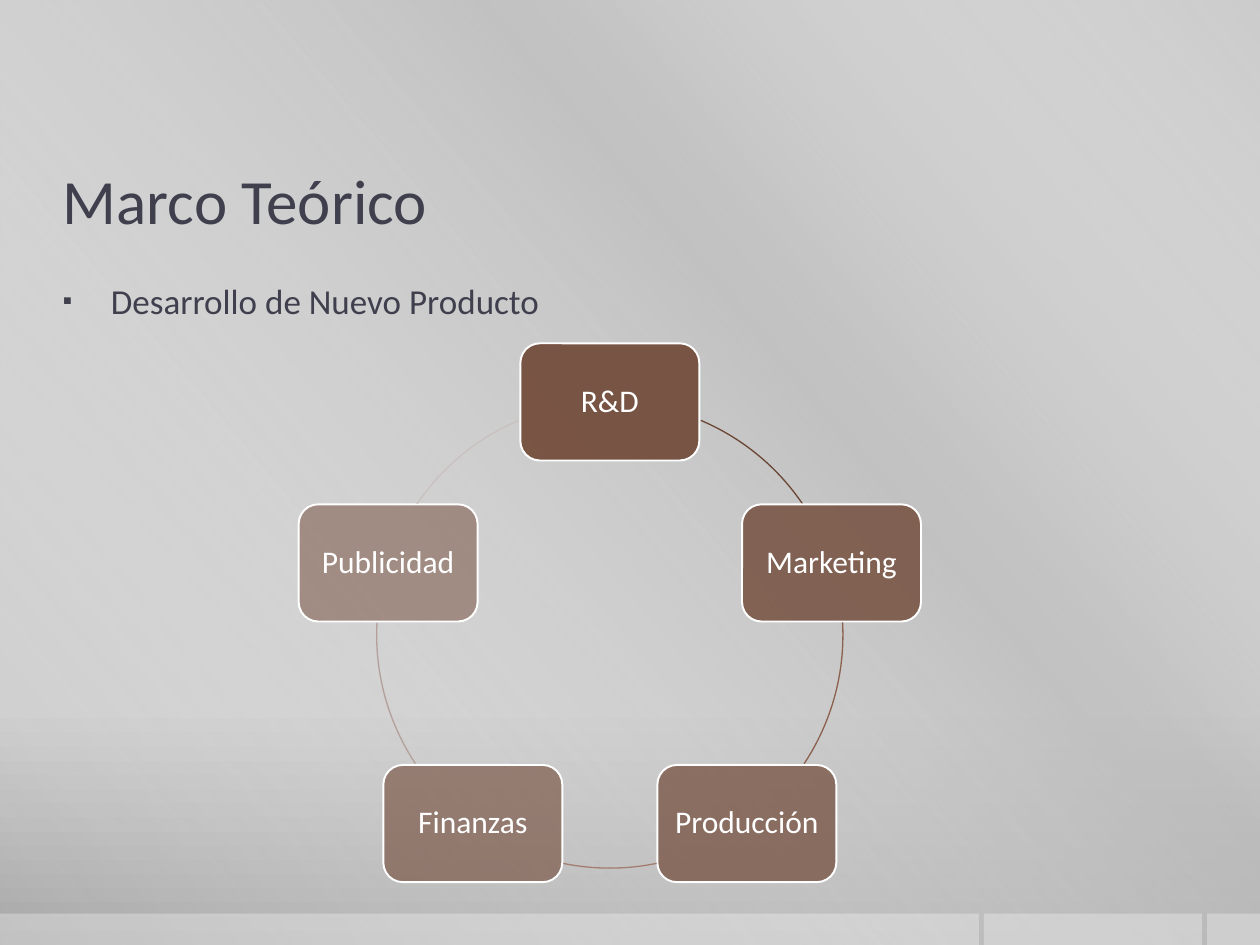
from math import cos, radians, sin

from pptx import Presentation
from pptx.dml.color import RGBColor
from pptx.enum.shapes import MSO_SHAPE
from pptx.enum.text import MSO_ANCHOR, PP_ALIGN
from pptx.oxml.ns import qn
from pptx.util import Inches, Pt
from lxml.etree import SubElement

TITLE = "Marco Teórico"
BULLET = "Desarrollo de Nuevo Producto"
STAGES = [
    ("R&D", 90, "6B4534", (293, 325.8)),
    ("Marketing", 80, "8B604E", (356.9, 33.5)),
    ("Producción", 70, "A37E70", (78.4, 101.6)),
    ("Finanzas", 60, "B4A09A", (146.5, 183.1)),
    ("Publicidad", 50, "C9C1BF", (214.2, 247)),
]
THEME = {
    "font": "Calibri", "ink": "3F3F4D", "light": "FFFFFF", "box": "704836",
    "title": 36, "body": 20, "label": 18,
    "backdrop": [(0, "CBCBCB", 100), (76, "C8C8C8", 100), (100, "A7A7A7", 100)],
    "sheen": [(0, "FFFFFF", 0), (34, "BFBFBF", 61), (38, "BFBFBF", 76), (100, "FFFFFF", 0)],
}
WIDTH, HEIGHT = 10, 7.5
FLOOR_TOP, FLOOR_ALPHA = 7.25, 30
FLOOR_SPANS = [(0, 7.77), (7.81, 9.54), (9.58, WIDTH)]
CENTER_X, CENTER_Y, RADIUS = 4.84, 5.04, 1.85
BOX_WIDTH, BOX_HEIGHT, BOX_INSET = 1.42, 0.93, 0.05


def set_alpha(color_element, percent):
    """Give a colour element its opacity."""
    SubElement(color_element, qn("a:alpha"), val=str(percent * 1000))


def paint_gradient(fill, owner, stops, angle):
    """Fill with a linear gradient at a clockwise angle."""
    fill.gradient()
    fill.gradient_angle = 360 - angle
    stop_list = next(owner.iter(qn("a:gsLst")))
    for stop in list(stop_list):
        stop_list.remove(stop)
    for position, color, opacity in stops:
        stop = SubElement(stop_list, qn("a:gs"), pos=str(position * 1000))
        set_alpha(SubElement(stop, qn("a:srgbClr"), val=color), opacity)


def add_shape(slide, kind, left, top, width, height):
    """Add a shape without shadow or outline."""
    shape = slide.shapes.add_shape(kind, *map(Inches, (left, top, width, height)))
    shape.shadow.inherit = False
    shape.line.fill.background()
    return shape


def fill_solid(shape, color, opacity):
    """Fill a shape with a translucent colour."""
    shape.fill.solid()
    shape.fill.fore_color.rgb = RGBColor.from_string(color)
    set_alpha(next(shape.element.spPr.iter(qn("a:srgbClr"))), opacity)


def set_line(shape, color, width):
    """Outline a shape."""
    shape.line.color.rgb = RGBColor.from_string(color)
    shape.line.width = Pt(width)


def write(shape, text, size, color, anchor, align, inset_x, inset_y):
    """Set one paragraph of text and return it."""
    frame = shape.text_frame
    frame.word_wrap = True
    frame.vertical_anchor = anchor
    frame.margin_left = frame.margin_right = Inches(inset_x)
    frame.margin_top = frame.margin_bottom = Inches(inset_y)
    paragraph = frame.paragraphs[0]
    paragraph.text = text
    paragraph.alignment = align
    paragraph.font.name = THEME["font"]
    paragraph.font.size = Pt(size)
    paragraph.font.color.rgb = RGBColor.from_string(color)
    return paragraph


def add_text(slide, text, size, top, height, anchor):
    """Add a full-width text box and return its paragraph."""
    box = slide.shapes.add_textbox(*map(Inches, (0.5, top, WIDTH - 1, height)))
    return write(box, text, size, THEME["ink"], anchor, PP_ALIGN.LEFT, 0, 0.05)


def add_backdrop(slide):
    """Draw the background, its sheen and the floor strip."""
    paint_gradient(slide.background.fill, slide.element, THEME["backdrop"], 90)
    sheen = add_shape(slide, MSO_SHAPE.RECTANGLE, 0, 0, WIDTH, HEIGHT)
    paint_gradient(sheen.fill, sheen.element, THEME["sheen"], 140)
    for start, end in FLOOR_SPANS:
        tile = add_shape(slide, MSO_SHAPE.RECTANGLE, start, FLOOR_TOP, end - start, HEIGHT - FLOOR_TOP)
        fill_solid(tile, THEME["light"], FLOOR_ALPHA)


def add_cycle(slide):
    """Place the stages evenly on a circle, joined by arcs."""
    for index, (label, opacity, arc_color, angles) in enumerate(STAGES):
        turn = radians(index * 360 / len(STAGES) - 90)
        left = CENTER_X + RADIUS * cos(turn) - BOX_WIDTH / 2
        top = CENTER_Y + RADIUS * sin(turn) - BOX_HEIGHT / 2
        box = add_shape(slide, MSO_SHAPE.ROUNDED_RECTANGLE, left, top, BOX_WIDTH, BOX_HEIGHT)
        fill_solid(box, THEME["box"], opacity)
        set_line(box, THEME["light"], 1.1)
        paragraph = write(box, label, THEME["label"], THEME["light"],
                          MSO_ANCHOR.MIDDLE, PP_ALIGN.CENTER, BOX_INSET, BOX_INSET)
        paragraph.line_spacing = 0.9
        arc = add_shape(slide, MSO_SHAPE.ARC, CENTER_X - RADIUS, CENTER_Y - RADIUS,
                        2 * RADIUS, 2 * RADIUS)
        arc.fill.background()
        set_line(arc, arc_color, 0.75)
        for position, angle in enumerate(angles):
            arc.adjustments[position] = angle * 0.6


def add_bullet(paragraph, indent):
    """Give a paragraph a small square bullet with a hanging indent."""
    properties = paragraph._p.get_or_add_pPr()
    properties.set("marL", str(Inches(indent)))
    properties.set("indent", str(-Inches(indent)))
    SubElement(properties, qn("a:buSzPct"), val="75000")
    SubElement(properties, qn("a:buFont"), typeface=THEME["font"])
    SubElement(properties, qn("a:buChar"), char="▪")
    properties.append(properties.find(qn("a:defRPr")))


def main():
    """Build the slide and save it."""
    presentation = Presentation()
    presentation.slide_width, presentation.slide_height = Inches(WIDTH), Inches(HEIGHT)
    slide = presentation.slides.add_slide(presentation.slide_layouts[6])
    add_backdrop(slide)
    add_text(slide, TITLE, THEME["title"], 1.08, 1, MSO_ANCHOR.MIDDLE)
    paragraph = add_text(slide, BULLET, THEME["body"], 2.17, 4.53, MSO_ANCHOR.TOP)
    paragraph.space_before, paragraph.space_after = Pt(4), Pt(6)
    add_bullet(paragraph, 0.38)
    add_cycle(slide)
    presentation.save("out.pptx")


main()
